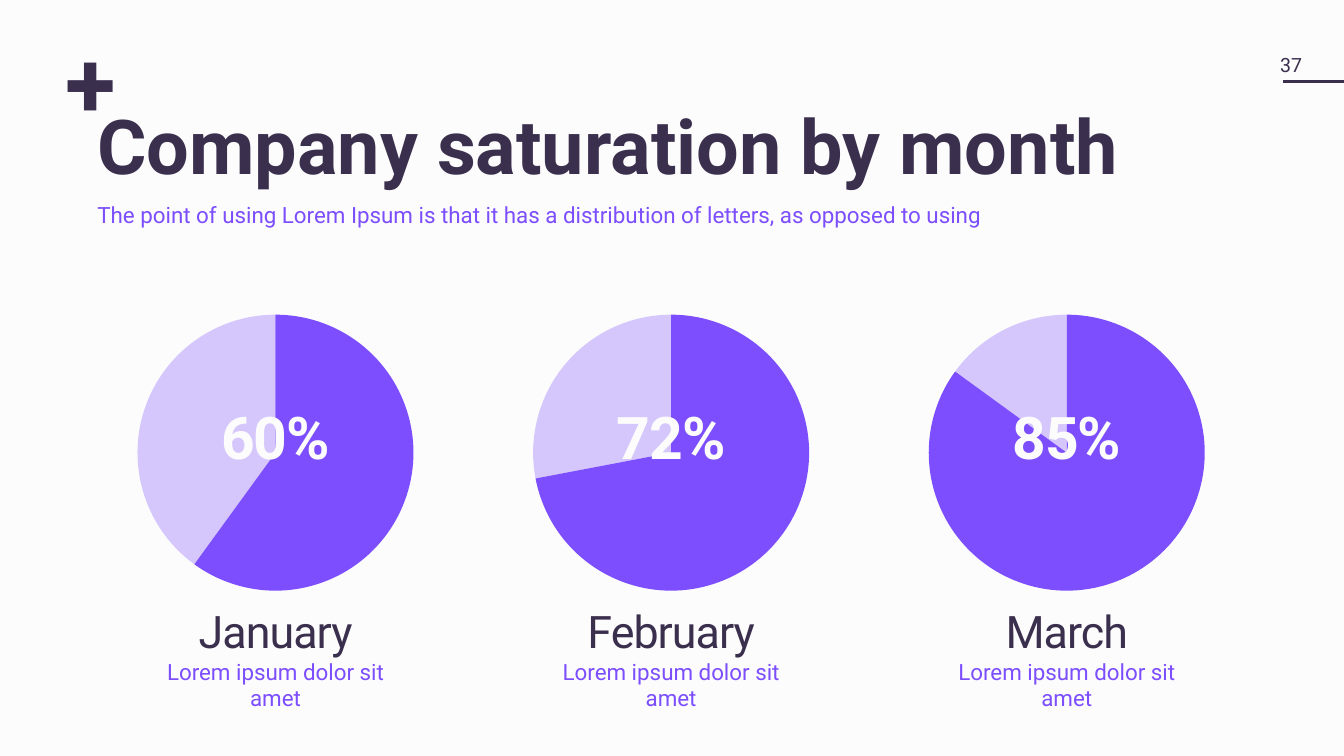
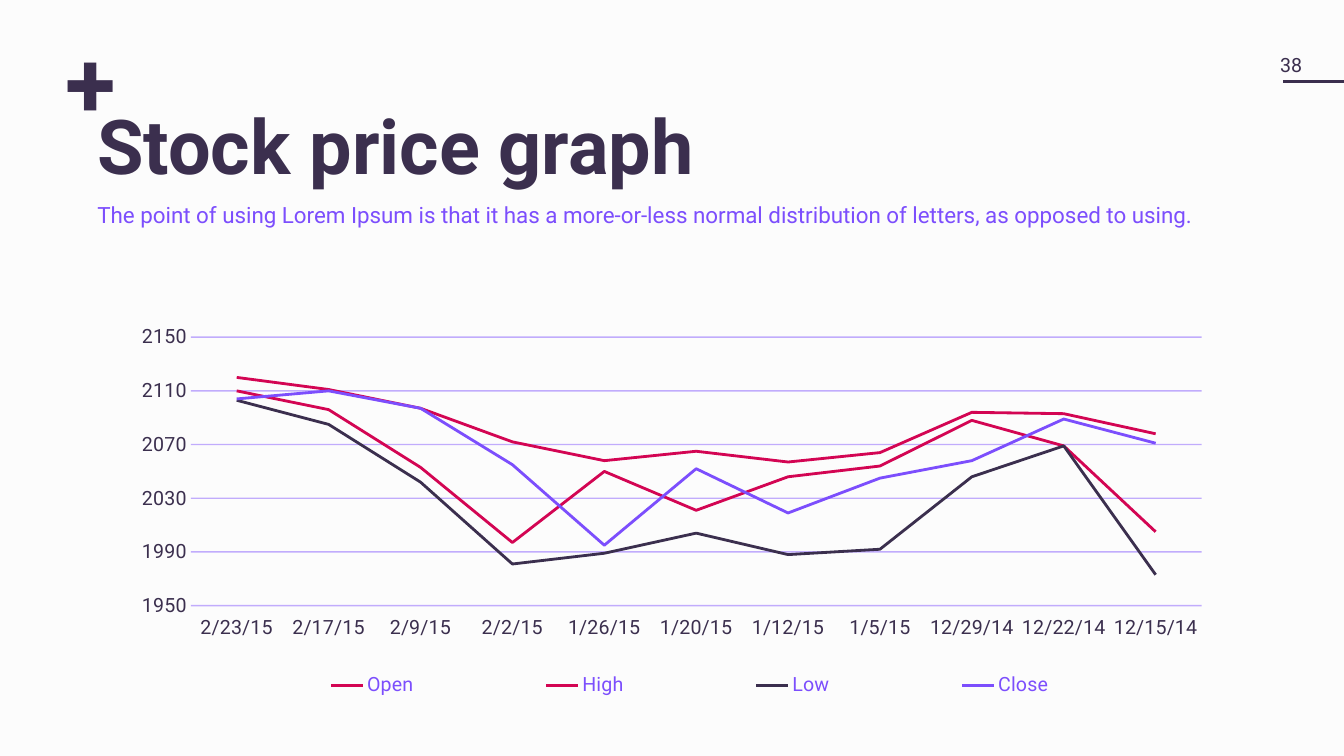
from dataclasses import dataclass
from typing import NamedTuple

from lxml import etree
from pptx import Presentation
from pptx import util as u
from pptx.chart import data as cd
from pptx.dml.color import RGBColor
from pptx.enum import chart as ce, shapes as se, text as te
from pptx.oxml import ns, parse_xml

CELL = 76200
COLS, ROWS = 160, 90


@dataclass(frozen=True)
class Theme:
    font: str = "Roboto"
    back: str = "FCFCFC"
    dark: str = "3B2F4E"
    main: str = "7C4EFD"
    red: str = "D30553"
    plus: int = 66
    title: int = 54
    share: int = 42
    month: int = 32
    body: int = 16
    small: int = 14
    rule: int = 2


T = Theme()


class Box(NamedTuple):
    col: float
    row: float
    wide: float
    high: float

    def emu(self) -> tuple[int, ...]:
        return tuple(cells(v) for v in self)


class Month(NamedTuple):
    name: str
    share: int


class Line(NamedTuple):
    name: str
    color: str
    vals: tuple[int, ...]


MONTHS = (Month("January", 60), Month("February", 72), Month("March", 85))
DATES = ("2/23/15", "2/17/15", "2/9/15", "2/2/15", "1/26/15", "1/20/15",
         "1/12/15", "1/5/15", "12/29/14", "12/22/14", "12/15/14")
LINES = (
    Line("Open", T.red, (2110, 2096, 2053, 1997, 2050, 2021, 2046, 2054, 2088, 2069, 2005)),
    Line("High", T.red, (2120, 2111, 2097, 2072, 2058, 2065, 2057, 2064, 2094, 2093, 2078)),
    Line("Low", T.dark, (2103, 2085, 2042, 1981, 1989, 2004, 1988, 1992, 2046, 2069, 1973)),
    Line("Close", T.main, (2104, 2110, 2097, 2055, 1995, 2052, 2019, 2045, 2058, 2089, 2071)),
)


def cells(num: float) -> int:
    return round(num * CELL)


def rgb(color: str) -> RGBColor:
    return RGBColor.from_string(color)


def style(font, size: int, color: str, bold: bool = False) -> None:
    font.name, font.size, font.bold = T.font, u.Pt(size), bold
    font.color.rgb = rgb(color)


def write(frame, words: str, *, size: int, color: str = T.dark, bold: bool = False,
          align=te.PP_ALIGN.LEFT, lead: float = 1.0, track: float = 0) -> None:
    para = frame.paragraphs[0] if not frame.text else frame.add_paragraph()
    para.alignment, para.line_spacing = align, lead
    run = para.add_run()
    run.text = words
    style(run.font, size, color, bold)
    if track:
        run._r.get_or_add_rPr().set("spc", str(round(track * 100)))


def frame(slide, box: Box, wrap: bool = False, side: float = 0.6, edge: float = 0.6):
    body = slide.shapes.add_textbox(*box.emu()).text_frame
    body.word_wrap = wrap
    body.margin_left = body.margin_right = cells(side)
    body.margin_top = body.margin_bottom = cells(edge)
    return body


def fade(fmt, share: int) -> None:
    for tint in fmt._element.iter(ns.qn("a:srgbClr")):
        etree.SubElement(tint, ns.qn("a:alpha")).set("val", str(share * 1000))


def layout(x: float, y: float, w: float, h: float, inner: bool = False):
    target = '<c:layoutTarget val="inner"/>' if inner else ""
    sizes = "".join(f'<c:{k} val="{v}"/>' for k, v in zip("xywh", (x, y, w, h)))
    return parse_xml(f'<c:layout {ns.nsdecls("c")}><c:manualLayout>{target}'
                     '<c:xMode val="edge"/><c:yMode val="edge"/>'
                     f'{sizes}</c:manualLayout></c:layout>')


def place(chart, *spot: float) -> None:
    area = chart._chartSpace.chart.plotArea
    for old in area.findall(ns.qn("c:layout")):
        area.remove(old)
    area.insert(0, layout(*spot, inner=True))


def plot(slide, kind, box: Box, data):
    chart = slide.shapes.add_chart(kind, *box.emu(), data).chart
    chart.has_title = chart.has_legend = False
    style(chart.font, T.small, T.dark)
    return chart


def base(deck, num: int, title: str, lead: str):
    slide = deck.slides.add_slide(deck.slide_layouts[6])
    slide.background.fill.solid()
    slide.background.fill.fore_color.rgb = rgb(T.back)
    write(frame(slide, Box(7.2, 5, 7.3, 14)), "+", size=T.plus, bold=True, lead=0.8)
    rule = slide.shapes.add_connector(se.MSO_CONNECTOR.STRAIGHT, cells(152.8),
                                      cells(9.7), cells(COLS), cells(9.7))
    rule.line.color.rgb, rule.line.width = rgb(T.dark), u.Pt(T.rule)
    etree.SubElement(rule._element.spPr, ns.qn("a:effectLst"))
    page = frame(slide, Box(151.7, 5.5, 5.5, 4.4), side=0.7, edge=0.7)
    page.vertical_anchor = te.MSO_ANCHOR.MIDDLE
    write(page, str(num), size=T.small)
    write(frame(slide, Box(11, 13.7, 138, 11.6), True), title,
          size=T.title, bold=True, lead=0.75)
    write(frame(slide, Box(11, 24.5, 138, 7.4), True), lead,
          size=T.body, color=T.main, lead=0.6)
    return slide


def pie(slide, month: Month, mid: float) -> None:
    def span(row: float, wide: float, high: float) -> Box:
        return Box(mid - wide / 2, row, wide, high)

    data = cd.CategoryChartData()
    data.categories = ("1", "2")
    data.add_series("Series 1", (month.share, 100 - month.share))
    chart = plot(slide, ce.XL_CHART_TYPE.PIE, span(37.3, 33.2, 33.2), data)
    place(chart, 0.005, 0.005, 0.99, 0.99)
    chart.plots[0].vary_by_categories = False
    for at, alpha in enumerate((100, 30)):
        fmt = chart.plots[0].series[0].points[at].format
        fmt.fill.solid()
        fmt.fill.fore_color.rgb = rgb(T.main)
        fmt.line.fill.background()
        if alpha < 100:
            fade(fmt, alpha)
    mid_text = te.PP_ALIGN.CENTER
    write(frame(slide, span(48.7, 14.2, 8)), f"{month.share}%", size=T.share,
          color=T.back, bold=True, align=mid_text, lead=0.8, track=-0.7)
    note = frame(slide, span(71.3, 33.5, 10.7), True, side=1.2)
    write(note, month.name, size=T.month, align=mid_text, track=-0.7)
    write(note, "Lorem ipsum dolor sit amet", size=T.body, color=T.main, align=mid_text)


def graph(slide) -> None:
    data = cd.CategoryChartData(number_format="0")
    data.categories = DATES
    for line in LINES:
        data.add_series(line.name, line.vals)
    chart = plot(slide, ce.XL_CHART_TYPE.LINE, Box(15.4, 37.3, 128.3, 46.6), data)
    place(chart, 0.057, 0.061, 0.938, 0.686)
    chart.plots[0].vary_by_categories = False
    for part, line in zip(chart.plots[0].series, LINES):
        part.smooth = False
        part.marker.style = ce.XL_MARKER_STYLE.NONE
        part.format.line.color.rgb = rgb(line.color)
        part.format.line.width = u.Pt(T.rule)
    for axis in (chart.category_axis, chart.value_axis):
        axis.major_tick_mark = axis.minor_tick_mark = ce.XL_TICK_MARK.NONE
        axis.format.line.fill.background()
        style(axis.tick_labels.font, T.small, T.dark)
    chart.category_axis.tick_label_position = ce.XL_TICK_LABEL_POSITION.LOW
    scale = chart.value_axis
    scale.minimum_scale, scale.maximum_scale, scale.major_unit = 1950, 2150, 40
    scale.tick_labels.number_format = "0"
    scale.tick_labels.number_format_is_linked = False
    grid = scale.major_gridlines.format
    grid.line.color.rgb, grid.line.width = rgb(T.main), u.Pt(1)
    fade(grid, 45)
    chart.has_legend = True
    key = chart.legend
    key.position = ce.XL_LEGEND_POSITION.BOTTOM
    key.include_in_layout = True
    style(key.font, T.small, T.main)
    root = key._element
    for old in root.findall(ns.qn("c:layout")):
        root.remove(old)
    root.find(ns.qn("c:legendPos")).addnext(layout(0.07, 0.9, 0.9, 0.1))


def main() -> None:
    deck = Presentation()
    deck.slide_width, deck.slide_height = cells(COLS), cells(ROWS)
    slide = base(deck, 37, "Company saturation by month",
                 "The point of using Lorem Ipsum is that it has a distribution "
                 "of letters, as opposed to using")
    for at, month in enumerate(MONTHS):
        pie(slide, month, 32.8 + 47.1 * at)
    graph(base(deck, 38, "Stock price graph",
               "The point of using Lorem Ipsum is that it has a more-or-less normal "
               "distribution of letters, as opposed to using."))
    deck.save("out.pptx")


if __name__ == "__main__":
    main()
